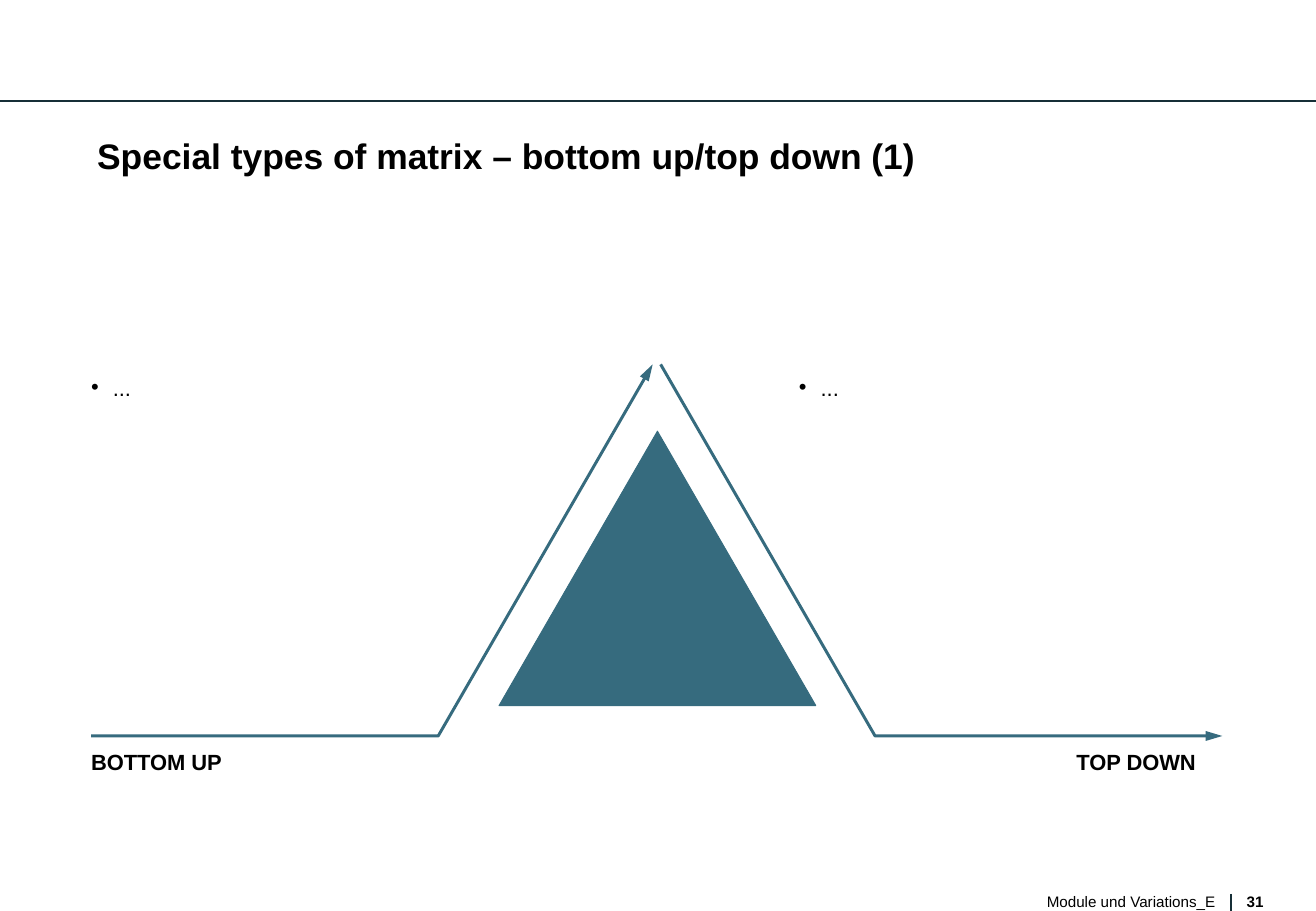
import pptx
import pptx.util
import pptx.dml.color
import pptx.enum.shapes
import pptx.enum.text
import pptx.oxml
import pptx.oxml.ns

RGB = pptx.dml.color.RGBColor
Pt = pptx.util.Pt
ALIGN = pptx.enum.text.PP_ALIGN
BLACK = RGB(0x00, 0x00, 0x00)
RULE = RGB(0x17, 0x2F, 0x37)
TEAL = RGB(0x36, 0x6B, 0x7E)
FONT = "Arial"

# Places are percentages of the slide's width and height
LEFT, CENTRE = 6.92, 49.9
RULES = [((0, 11.1), (100, 11.1)), ((93.54, 98.13), (93.54, 100))]
TRIANGLE = (37.92, 47.33, 24.08, 30.13)
BOTTOM_UP = [(LEFT, 80.8), (33.3, 80.8), (49.6, 40)]
TOP_DOWN = [(2 * CENTRE - x, y) for x, y in BOTTOM_UP]
ARROWS = [(BOTTOM_UP, "a:tailEnd"), (TOP_DOWN, "a:headEnd")]

# text, (left, top, width, height), size, bold, alignment
TEXTS = [
    ("Special types of matrix – bottom up/top down (1)",
     (7.38, 14.67, 86.35, 9.6), 21, True, ALIGN.LEFT),
    ("BOTTOM UP", (LEFT, 82.13, 23.15, 2.93), 13, True, ALIGN.LEFT),
    ("TOP DOWN", (67.71, 82.13, 23.15, 2.93), 13, True, ALIGN.RIGHT),
    ("Module und Variations_E", (57.38, 97.92, 34.96, 2), 9, False, ALIGN.RIGHT),
    ("31", (94.74, 98, 1.57, 1.87), 9, True, ALIGN.LEFT),
]
BULLETS = [("...", (left, 41.07, 32.1, 2.93)) for left in (LEFT, 60.7)]

prs = pptx.Presentation()
prs.slide_width = pptx.util.Inches(10.84)
prs.slide_height = pptx.util.Inches(7.5)
slide = prs.slides.add_slide(prs.slide_layouts[6])
shapes = slide.shapes


def place(*shares):
    sides = (prs.slide_width, prs.slide_height) * 2
    return [round(share * side / 100) for share, side in zip(shares, sides)]


def add_xml(parent, tag, **attributes):
    child = pptx.oxml.parse_xml(f"<{tag} {pptx.oxml.ns.nsdecls('a')}/>")
    for name, value in attributes.items():
        child.set(name, str(value))
    parent.append(child)
    return child


def add_text(text, box, size, bold=False, align=ALIGN.LEFT, bullet=False):
    tf = shapes.add_textbox(*place(*box)).text_frame
    tf.word_wrap = True
    tf.margin_left = tf.margin_top = tf.margin_right = tf.margin_bottom = 0
    p = tf.paragraphs[0]
    p.text = text
    p.alignment = align
    if bullet:
        indent = pptx.util.Inches(0.18)
        pPr = p._p.get_or_add_pPr()
        pPr.set("marL", str(indent))
        pPr.set("indent", str(-indent))
        add_xml(add_xml(pPr, "a:buClr"), "a:srgbClr", val=BLACK)
        add_xml(pPr, "a:buFont", typeface=FONT)
        add_xml(pPr, "a:buChar", char="•")
    font = p.runs[0].font
    font.name, font.size, font.bold = FONT, Pt(size), bold
    font.color.rgb = BLACK
    return p


# Header rule and footer divider
for start, end in RULES:
    line = shapes.add_connector(pptx.enum.shapes.MSO_CONNECTOR.STRAIGHT,
                                *place(*start, *end))
    line.line.color.rgb = RULE
    line.line.width = Pt(0.75)
    add_xml(line._element.spPr, "a:effectLst")

# Central triangle
sp = shapes.add_shape(pptx.enum.shapes.MSO_SHAPE.ISOSCELES_TRIANGLE, *place(*TRIANGLE))
sp.shadow.inherit = False
sp.fill.solid()
sp.fill.fore_color.rgb = TEAL
sp.line.color.rgb = TEAL
sp.line.width = Pt(0.5)

# Bent arrows, mirrored about the centre
for points, arrow_end in ARROWS:
    start, *rest = [place(*point) for point in points]
    builder = shapes.build_freeform(*start)
    builder.add_line_segments(rest, close=False)
    sp = builder.convert_to_shape()
    sp.shadow.inherit = False
    sp.fill.background()
    sp.line.color.rgb = TEAL
    sp.line.width = Pt(1.75)
    add_xml(sp.line._get_or_add_ln(), arrow_end, type="triangle", w="med", len="lg")

# Title, labels, footer and bullet lists
for item in TEXTS:
    add_text(*item)
for text, box in BULLETS:
    add_text(text, box, 13, bullet=True)

prs.save("out.pptx")
